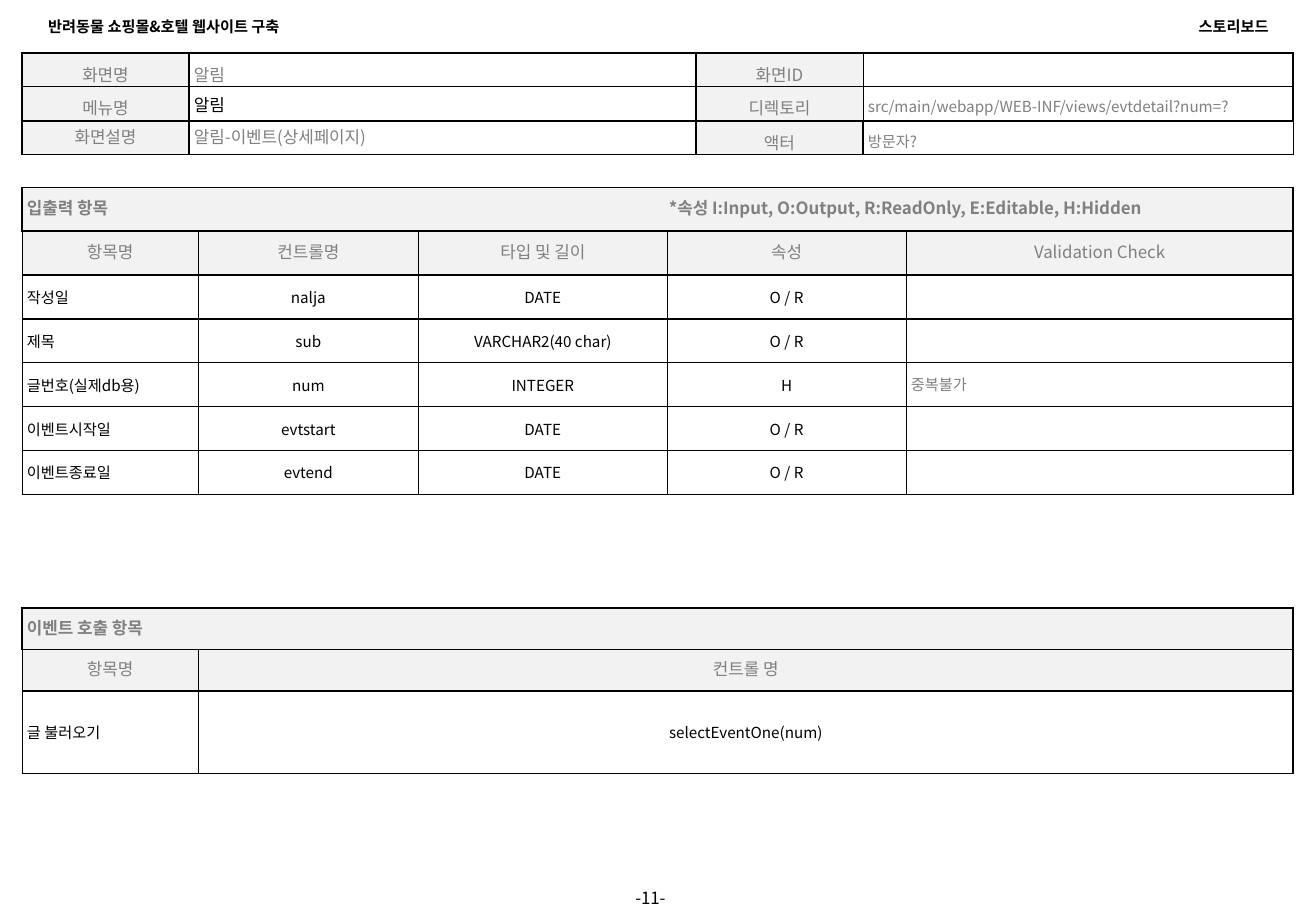
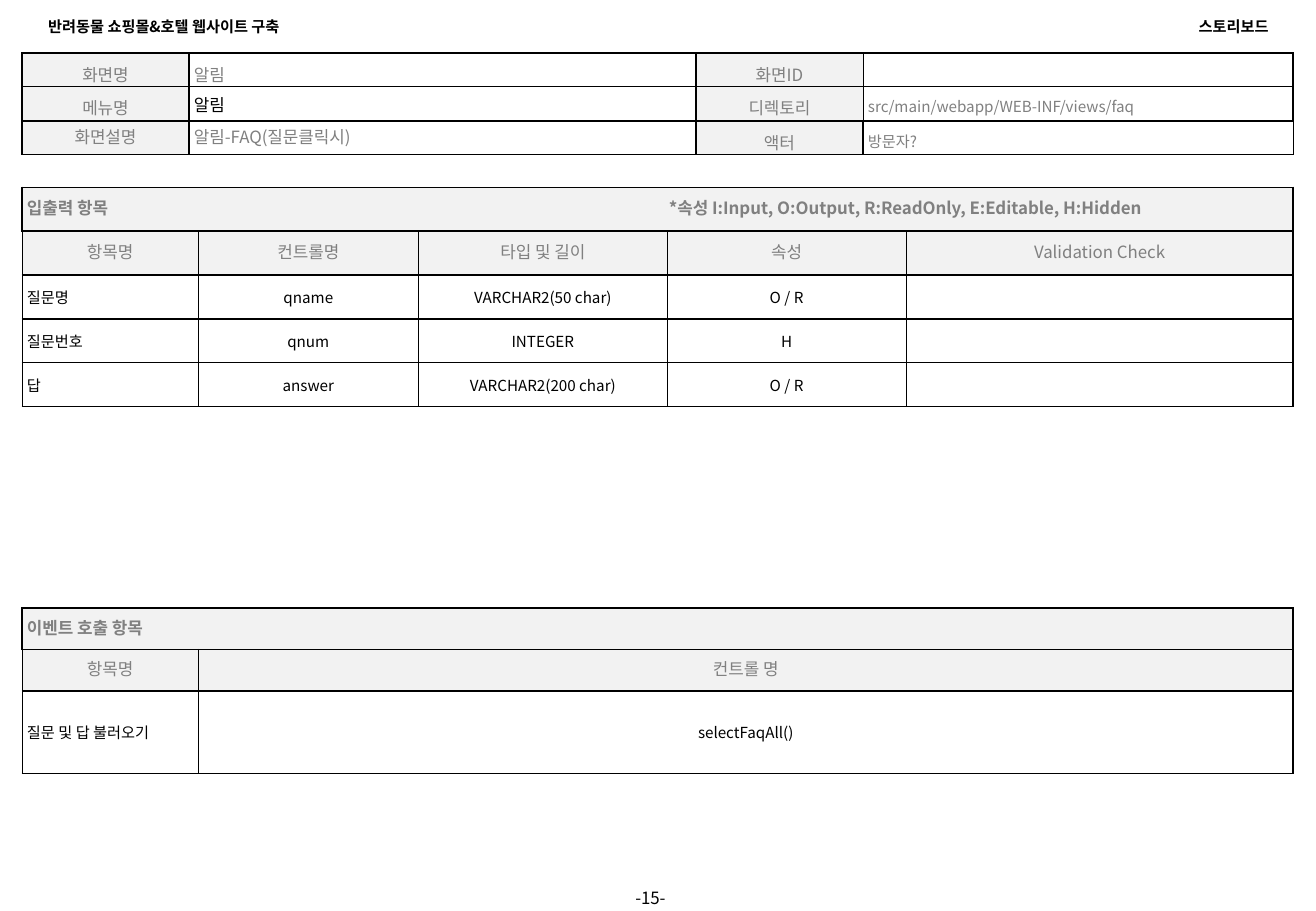
from dataclasses import dataclass
from itertools import accumulate
from typing import Optional

from lxml import etree
from pptx import Presentation
from pptx.dml.color import RGBColor
from pptx.enum.text import MSO_ANCHOR, PP_ALIGN
from pptx.oxml.ns import qn
from pptx.util import Emu, Pt

LEFT, CENTER, RIGHT = PP_ALIGN.LEFT, PP_ALIGN.CENTER, PP_ALIGN.RIGHT
MIDDLE = MSO_ANCHOR.MIDDLE
EMU_PER_PX = 6350
BLANK_LAYOUT = 6

BLACK = RGBColor(0x00, 0x00, 0x00)
GRAY = RGBColor(0x80, 0x80, 0x80)
PALE = RGBColor(0xF2, 0xF2, 0xF2)
WHITE = RGBColor(0xFF, 0xFF, 0xFF)
FONT = "Noto Sans CJK KR"

SLIDE_W, SLIDE_H = 1560, 1080
TABLE_LEFT = 26
CELL_INSET = 6
LEGEND_TAB = 761
SCREEN_COLS = (198, 601, 198, 510)
SCREEN_ROWS = (39, 41, 38)
FIELD_COLS = (209, 261, 295, 283, 459)
FIELD_ROW = 52
CALL_COLS = (209, 1298)
CALL_ROWS = (49, 49, 98)

PROJECT = "반려동물 쇼핑몰&호텔 웹사이트 구축"
DOCUMENT = "스토리보드"
FIELD_TITLE = "입출력 항목\t*속성 I:Input, O:Output, R:ReadOnly, E:Editable, H:Hidden"
FIELD_HEADS = ("항목명", "컨트롤명", "타입 및 길이", "속성", "Validation Check")
CALL_TITLE = "이벤트 호출 항목"
CALL_HEADS = ("항목명", "컨트롤 명")


@dataclass(frozen=True)
class Style:
    size: int = 9
    color: RGBColor = BLACK
    bold: bool = False
    align: PP_ALIGN = LEFT
    fill: RGBColor = WHITE
    exact: bool = False
    roomy: bool = False


@dataclass(frozen=True)
class Edges:
    left: float = 1
    right: float = 1
    top: float = 1
    bottom: float = 1


@dataclass(frozen=True)
class Entry:
    text: str
    style: Style
    edges: Edges = Edges()
    tab: Optional[int] = None


@dataclass(frozen=True)
class Field:
    label: str
    control: str
    kind: str
    attribute: str = "O / R"
    check: str = ""


@dataclass(frozen=True)
class Storyboard:
    page: int
    description: str
    directory: str
    fields: tuple[Field, ...]
    call_label: str
    call: str


TITLE = Style(10, GRAY, bold=True, fill=PALE, exact=True)
HEAD = Style(10, GRAY, align=CENTER, fill=PALE, exact=True)
LABEL = Style()
VALUE = Style(align=CENTER)
CHECK = Style(color=GRAY, exact=True)
SCREEN_LABEL = Style(10, GRAY, align=CENTER, fill=PALE, roomy=True)
SCREEN_VALUE = Style(10, GRAY, roomy=True)
SCREEN_DETAIL = Style(9, GRAY, roomy=True)
MENU_VALUE = Style(10)
DESCRIPTION = Style(10, GRAY, exact=True)
RUNNING_HEAD = Style(bold=True)
RUNNING_HEAD_RIGHT = Style(bold=True, align=RIGHT)
PAGE_NUMBER = Style(10, align=CENTER)

INNER = Edges(0.5, 0.5)
OUTER = Edges(0.5, 1)
THIN_RIGHT = Edges(1, 0.5)

STORYBOARDS = (
    Storyboard(
        11, "알림-이벤트(상세페이지)", "src/main/webapp/WEB-INF/views/evtdetail?num=?",
        (
            Field("작성일", "nalja", "DATE"),
            Field("제목", "sub", "VARCHAR2(40 char)"),
            Field("글번호(실제db용)", "num", "INTEGER", "H", "중복불가"),
            Field("이벤트시작일", "evtstart", "DATE"),
            Field("이벤트종료일", "evtend", "DATE"),
        ),
        "글 불러오기", "selectEventOne(num)",
    ),
    Storyboard(
        15, "알림-FAQ(질문클릭시)", "src/main/webapp/WEB-INF/views/faq",
        (
            Field("질문명", "qname", "VARCHAR2(50 char)"),
            Field("질문번호", "qnum", "INTEGER", "H"),
            Field("답", "answer", "VARCHAR2(200 char)"),
        ),
        "질문 및 답 불러오기", "selectFaqAll()",
    ),
)


def px(length: int) -> Emu:
    return Emu(length * EMU_PER_PX)


def write(paragraph, text: str, style: Style) -> None:
    paragraph.alignment = style.align
    if style.exact:
        paragraph.line_spacing = Pt(12)
    if style.roomy:
        paragraph.line_spacing = 1.15
        paragraph.space_before = paragraph.space_after = Pt(3)
    if not text:
        etree.SubElement(paragraph._p, qn("a:endParaRPr"), sz=str(style.size * 100))
        return
    run = paragraph.add_run()
    run.text = text
    run.font.size = Pt(style.size)
    run.font.bold = style.bold
    run.font.name = FONT
    run.font.color.rgb = style.color
    etree.SubElement(run.font._element, qn("a:ea"), typeface=FONT)


def add_tab(paragraph, position: int) -> None:
    stops = etree.SubElement(paragraph._p.get_or_add_pPr(), qn("a:tabLst"))
    etree.SubElement(stops, qn("a:tab"), pos=str(px(position)), algn="l")


def draw_edges(cell, edges: Edges) -> None:
    properties = cell._tc.get_or_add_tcPr()
    sides = (("L", edges.left), ("R", edges.right), ("T", edges.top), ("B", edges.bottom))
    for order, (side, width) in enumerate(sides):
        line = etree.Element(qn(f"a:ln{side}"), w=str(Pt(width)))
        fill = etree.SubElement(line, qn("a:solidFill"))
        etree.SubElement(fill, qn("a:srgbClr"), val=str(BLACK))
        properties.insert(order, line)


def fill_cell(cell, entry: Entry) -> None:
    cell.margin_left = cell.margin_right = px(CELL_INSET)
    cell.margin_top = cell.margin_bottom = px(CELL_INSET)
    cell.vertical_anchor = MIDDLE
    cell.fill.solid()
    cell.fill.fore_color.rgb = entry.style.fill
    draw_edges(cell, entry.edges)
    paragraph = cell.text_frame.paragraphs[0]
    write(paragraph, entry.text, entry.style)
    if entry.tab is not None:
        add_tab(paragraph, entry.tab)


def draw_table(slide, top: int, columns: tuple[int, ...], heights: tuple[int, ...],
               rows: list[list[Entry]]) -> None:
    frame = slide.shapes.add_table(len(heights), len(columns), px(TABLE_LEFT), px(top),
                                   px(sum(columns)), px(sum(heights)))
    table = frame.table
    table.first_row = table.horz_banding = False
    for column, width in zip(table.columns, columns):
        column.width = px(width)
    for index, (height, entries) in enumerate(zip(heights, rows)):
        table.rows[index].height = px(height)
        if len(entries) == 1:
            table.cell(index, 0).merge(table.cell(index, len(columns) - 1))
            entries = entries + [Entry("", entries[0].style)] * (len(columns) - 1)
        for position, entry in enumerate(entries):
            fill_cell(table.cell(index, position), entry)


def lined_row(texts: tuple[str, ...], styles: tuple[Style, ...]) -> list[Entry]:
    edges = [INNER] * (len(texts) - 1) + [OUTER]
    return [Entry(*parts) for parts in zip(texts, styles, edges)]


def draw_text(slide, left: int, top: int, width: int, height: int,
              text: str, style: Style, inset: Optional[int] = None) -> None:
    frame = slide.shapes.add_textbox(px(left), px(top), px(width), px(height)).text_frame
    frame.word_wrap = True
    frame.vertical_anchor = MIDDLE
    if inset is not None:
        frame.margin_left = frame.margin_right = px(inset)
        frame.margin_top = frame.margin_bottom = px(inset)
    write(frame.paragraphs[0], text, style)


def draw_screen(slide, board: Storyboard) -> None:
    draw_table(slide, 63, SCREEN_COLS, SCREEN_ROWS, [
        [Entry("화면명", SCREEN_LABEL), Entry("알림", SCREEN_VALUE),
         Entry("화면ID", SCREEN_LABEL, THIN_RIGHT), Entry("", LABEL, OUTER)],
        [Entry("메뉴명", SCREEN_LABEL), Entry("알림", MENU_VALUE),
         Entry("디렉토리", SCREEN_LABEL, THIN_RIGHT),
         Entry(board.directory, SCREEN_DETAIL, OUTER)],
        [Entry("화면설명", HEAD), Entry(board.description, DESCRIPTION),
         Entry("액터", SCREEN_LABEL), Entry("방문자?", SCREEN_DETAIL, THIN_RIGHT)],
    ])


def draw_fields(slide, board: Storyboard) -> None:
    rows = [[Entry(FIELD_TITLE, TITLE, tab=LEGEND_TAB)],
            lined_row(FIELD_HEADS, (HEAD,) * len(FIELD_HEADS))]
    for field in board.fields:
        texts = (field.label, field.control, field.kind, field.attribute, field.check)
        rows.append(lined_row(texts, (LABEL, VALUE, VALUE, VALUE, CHECK)))
    draw_table(slide, 222, FIELD_COLS, (FIELD_ROW,) * len(rows), rows)


def draw_calls(slide, board: Storyboard) -> None:
    draw_table(slide, 721, CALL_COLS, CALL_ROWS, [
        [Entry(CALL_TITLE, TITLE)],
        lined_row(CALL_HEADS, (HEAD, HEAD)),
        lined_row((board.call_label, board.call), (LABEL, VALUE)),
    ])


def draw_storyboard(slide, board: Storyboard) -> None:
    draw_text(slide, 714, 1053, 114, 23, f"-{board.page}-", PAGE_NUMBER, CELL_INSET)
    draw_text(slide, 43, 13, 431, 36, PROJECT, RUNNING_HEAD)
    draw_text(slide, 1087, 13, 431, 36, DOCUMENT, RUNNING_HEAD_RIGHT)
    draw_fields(slide, board)
    draw_calls(slide, board)
    draw_screen(slide, board)


def main() -> None:
    deck = Presentation()
    deck.slide_width, deck.slide_height = px(SLIDE_W), px(SLIDE_H)
    for board in STORYBOARDS:
        draw_storyboard(deck.slides.add_slide(deck.slide_layouts[BLANK_LAYOUT]), board)
    deck.save("out.pptx")


if __name__ == "__main__":
    main()
